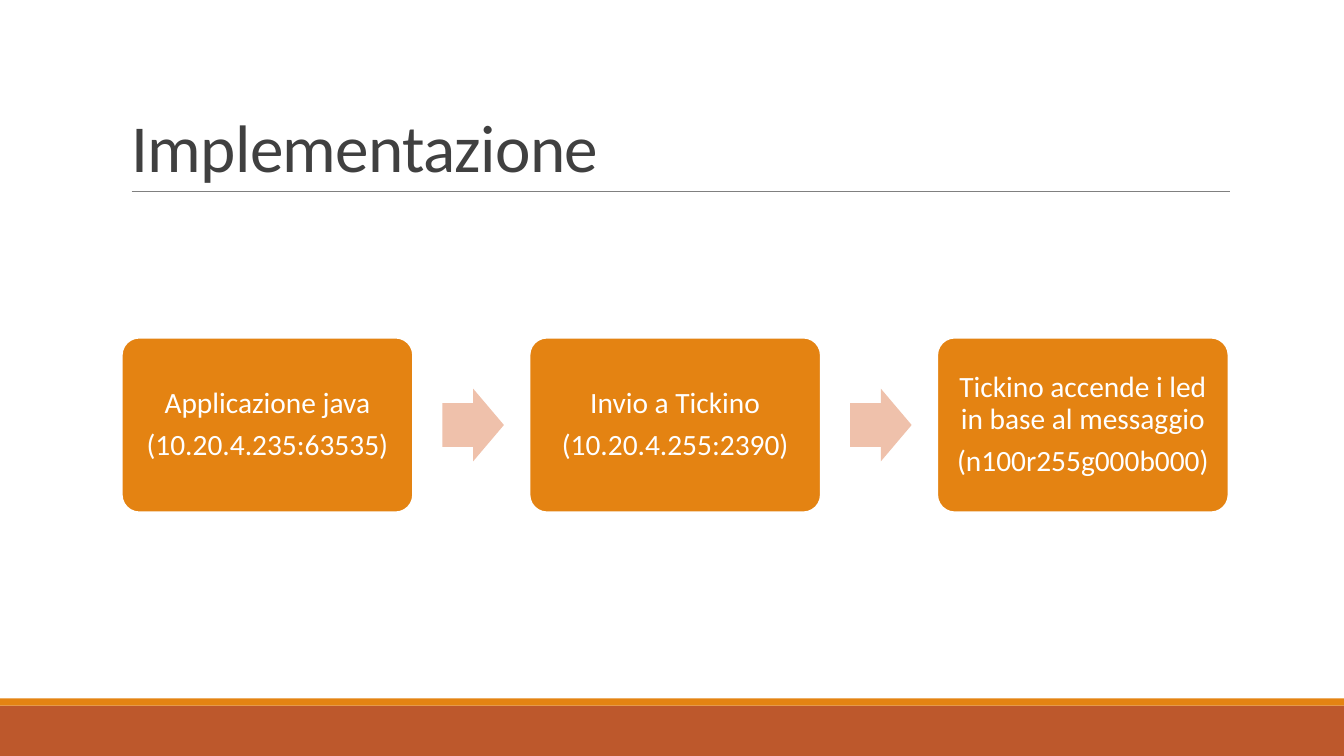
from pptx import Presentation
from pptx.dml.color import RGBColor
from pptx.enum.shapes import MSO_CONNECTOR as Connector, MSO_SHAPE as Preset
from pptx.enum.text import MSO_ANCHOR as Anchor, PP_ALIGN as Align
from pptx.oxml.ns import qn
from pptx.util import Cm, Pt
from lxml.etree import SubElement

COLORS = {
    "band": "BD582C",
    "accent": "E48312",
    "arrow": "EFC1AB",
    "rule": "808080",
    "title": "404040",
    "white": "FFFFFF",
}
FONT = "Calibri"
SLIDE_WIDTH, SLIDE_HEIGHT = 33.87, 19.05
STEPS = [
    ("Applicazione java", "(10.20.4.235:63535)"),
    ("Invio a Tickino", "(10.20.4.255:2390)"),
    ("Tickino accende i led in base al messaggio", "(n100r255g000b000)"),
]


def color(name):
    return RGBColor.from_string(COLORS[name])


def add_filled(slide, preset, box, fill):
    shape = slide.shapes.add_shape(preset, *map(Cm, box))
    shape.shadow.inherit = False
    shape.fill.solid()
    shape.fill.fore_color.rgb = color(fill)
    shape.line.fill.background()
    return shape


def add_run(paragraph, text, size, font_color):
    run = paragraph.add_run()
    run.text = text
    run.font.name = FONT
    run.font.size = Pt(size)
    run.font.color.rgb = color(font_color)
    return run


def add_footer(slide, box):
    """Wide band with a thin accent stripe along its top edge."""
    left, top, width, height = box
    stripe = 0.18
    add_filled(slide, Preset.RECTANGLE, (left, top + stripe, width, height - stripe), "band")
    add_filled(slide, Preset.RECTANGLE, (left, top, width, stripe), "accent")


def add_title(slide, box, text):
    """Bottom-anchored title with a rule beneath it."""
    left, top, width, height = box
    inset = 0.25
    frame = slide.shapes.add_textbox(*map(Cm, box)).text_frame
    frame.word_wrap = True
    frame.vertical_anchor = Anchor.BOTTOM
    paragraph = frame.paragraphs[0]
    paragraph.line_spacing = 0.85
    run = add_run(paragraph, text, 48, "title")
    run.font._element.set("spc", "-50")

    bottom = top + height
    rule = slide.shapes.add_connector(
        Connector.STRAIGHT, Cm(left + inset), Cm(bottom), Cm(left + width), Cm(bottom))
    rule.line.color.rgb = color("rule")
    rule.line.width = Pt(0.5)
    SubElement(rule._element.spPr, qn("a:effectLst"))


def add_step(slide, box, lines):
    """Rounded card with centred lines."""
    card = add_filled(slide, Preset.ROUNDED_RECTANGLE, box, "accent")
    card.adjustments[0] = 0.1
    card.line.color.rgb = color("white")
    card.line.width = Pt(1.25)
    frame = card.text_frame
    frame.word_wrap = True
    frame.vertical_anchor = Anchor.MIDDLE
    frame.margin_left = frame.margin_right = Cm(0.23)
    frame.margin_top = frame.margin_bottom = Cm(0.23)
    for index, text in enumerate(lines):
        paragraph = frame.add_paragraph() if index else frame.paragraphs[0]
        paragraph.alignment = Align.CENTER
        paragraph.line_spacing = 0.9
        paragraph.space_after = Pt(7.35)
        add_run(paragraph, text, 21, "white")


def add_process(slide, box, steps):
    """Equal cards across the box, with an arrow in each gap."""
    left, top, width, height = box
    card_width = 7.34
    arrow_width, arrow_height, arrow_gap = 1.55, 1.83, 0.74
    pitch = (width - card_width) / (len(steps) - 1)
    for index, lines in enumerate(steps):
        card_left = left + index * pitch
        if index:
            arrow_left = card_left - pitch + card_width + arrow_gap
            arrow_top = top + (height - arrow_height) / 2
            arrow = add_filled(slide, Preset.RIGHT_ARROW,
                               (arrow_left, arrow_top, arrow_width, arrow_height), "arrow")
            arrow.adjustments[0] = 0.6
            arrow.adjustments[1] = 0.5
        add_step(slide, (card_left, top, card_width, height), lines)


def main():
    presentation = Presentation()
    presentation.slide_width = Cm(SLIDE_WIDTH)
    presentation.slide_height = Cm(SLIDE_HEIGHT)
    slide = presentation.slides.add_slide(presentation.slide_layouts[6])
    slide.background.fill.solid()
    slide.background.fill.fore_color.rgb = color("white")

    footer_height = 1.45
    add_footer(slide, (0, SLIDE_HEIGHT - footer_height, SLIDE_WIDTH, footer_height))
    add_title(slide, (3.07, 0.79, 27.93, 4.03), "Implementazione")
    add_process(slide, (3.07, 8.51, 27.89, 4.4), STEPS)
    presentation.save("out.pptx")


if __name__ == "__main__":
    main()
